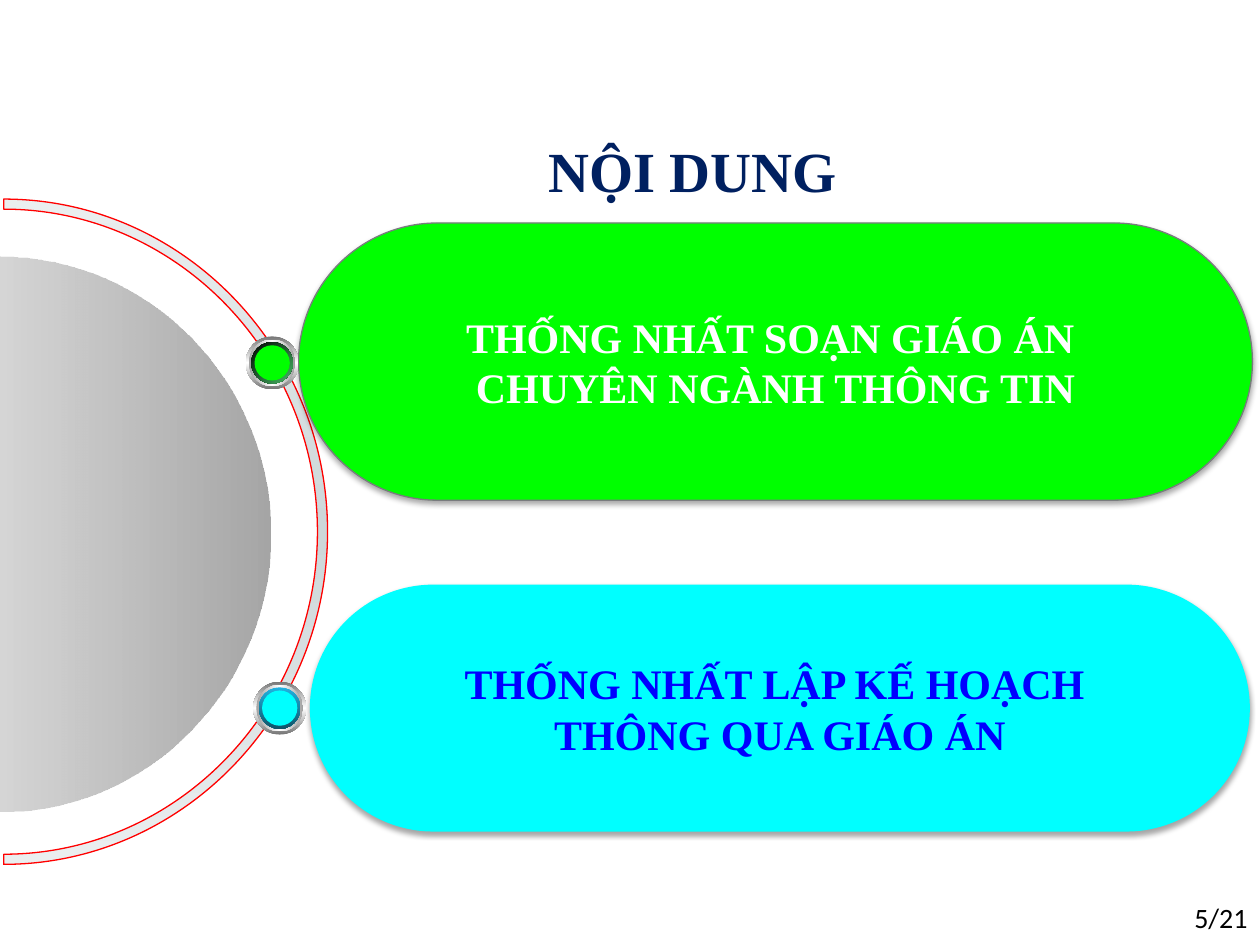
from lxml import etree
from pptx import Presentation
from pptx.dml.color import RGBColor
from pptx.enum.shapes import MSO_SHAPE
from pptx.enum.text import MSO_ANCHOR, PP_ALIGN
from pptx.oxml import parse_xml
from pptx.oxml.ns import nsdecls, qn
from pptx.util import Inches, Pt

OVAL, PILL = MSO_SHAPE.OVAL, MSO_SHAPE.ROUNDED_RECTANGLE
CENTER, RIGHT = PP_ALIGN.CENTER, PP_ALIGN.RIGHT
TOP, MIDDLE = MSO_ANCHOR.TOP, MSO_ANCHOR.MIDDLE
SERIF, SANS = "Times New Roman", "Calibri"
COLORS = {"navy": "002060", "red": "FF0000", "green": "00FF00", "cyan": "00FFFF",
          "blue": "0000FF", "white": "FFFFFF", "black": "000000", "edge": "797B7E"}
DISC_STOPS = [(0, "AFAFAF", 52), (100, "5F5F5F", 56)]
ITEMS = [
    {"box": (2.37, 1.77, 7.57, 2.2), "badge": (2.16, 2.88), "fill": "green",
     "line": "edge", "color": "white", "glow": ([(0, "000000"), (100, "48BE67")], 45),
     "lines": ["THỐNG NHẤT SOẠN GIÁO ÁN ", "CHUYÊN NGÀNH THÔNG TIN"]},
    {"box": (2.46, 4.64, 7.46, 1.96), "badge": (2.22, 5.62), "fill": "cyan",
     "line": None, "color": "blue", "glow": ([(0, "21B3E1"), (100, "0F5368")], 90),
     "lines": ["THỐNG NHẤT LẬP KẾ HOẠCH ", "THÔNG QUA GIÁO ÁN"]},
]


def rgb(name):
    """Return the named colour."""
    return RGBColor.from_string(COLORS[name])


def banded(edge, middle):
    """Return gradient stops that mirror around the middle."""
    return [(0, edge), (50, middle), (100, edge)]


def paint(sp, fill, line=None):
    """Fill with a colour name or a (stops, angle) pair, and set the outline."""
    sp.shadow.inherit = False
    if isinstance(fill, str):
        sp.fill.solid()
        sp.fill.fore_color.rgb = rgb(fill)
    else:
        stops, angle = fill
        sp.fill.background()
        grad = parse_xml(f'<a:gradFill {nsdecls("a")} rotWithShape="1"><a:gsLst/>'
                         f'<a:lin ang="{angle * 60000}" scaled="0"/></a:gradFill>')
        for pos, color, *alpha in stops:
            gs = etree.SubElement(grad[0], qn("a:gs"), pos=str(pos * 1000))
            clr = etree.SubElement(gs, qn("a:srgbClr"), val=color)
            for value in alpha:
                etree.SubElement(clr, qn("a:alpha"), val=str(value * 1000))
        props = sp._element.spPr
        props.replace(props.find(qn("a:noFill")), grad)
    if line:
        sp.line.color.rgb = rgb(line)
        sp.line.width = Pt(0.75)
    else:
        sp.line.fill.background()


def add_shadow(sp):
    """Give the shape a soft shadow below it."""
    effects = sp._element.spPr.find(qn("a:effectLst"))
    effects.append(parse_xml(
        f'<a:outerShdw {nsdecls("a")} blurRad="{Pt(3.1)}" dist="{Pt(1.8)}" dir="5400000" '
        f'rotWithShape="0"><a:srgbClr val="{COLORS["black"]}"><a:alpha val="35000"/>'
        '</a:srgbClr></a:outerShdw>'))


def write(sp, lines, color, align, anchor=MIDDLE, wrap=True, **font):
    """Write one paragraph per line in the shape."""
    tf = sp.text_frame
    tf.word_wrap = wrap
    tf.vertical_anchor = anchor
    for i, text in enumerate(lines):
        p = tf.paragraphs[0] if i == 0 else tf.add_paragraph()
        p.alignment = align
        r = p.add_run()
        r.text = text
        r.font.color.rgb = rgb(color)
        for key, value in font.items():
            setattr(r.font, key, value)


def add_text(s, box, *args, **font):
    """Add a text box in the given box."""
    write(s.shapes.add_textbox(*map(Inches, box)), *args, **font)


def half_oval(cx, cy, rx, ry):
    """Return the Bezier points of the right half of an oval, from top to bottom."""
    k = 0.55
    unit = [(0, -1), (k, -1), (1, -k), (1, 0), (1, k), (k, 1), (0, 1)]
    return [(Inches(cx + rx * x), Inches(cy + ry * y)) for x, y in unit]


def add_outline(s, halves, fill, line=None):
    """Add a closed freeform whose half ovals are two curves each."""
    points = [point for half in halves for point in half]
    builder = s.shapes.build_freeform(*points[0])
    builder.add_line_segments(points[1:], close=True)
    sp = builder.convert_to_shape()
    segments = list(sp._element.iter(qn("a:lnTo")))
    for first in range(0, len(segments), len(halves[0])):
        for start in (first, first + 3):
            head, *rest = segments[start:start + 3]
            curve = etree.Element(qn("a:cubicBezTo"))
            head.addprevious(curve)
            for segment in (head, *rest):
                curve.append(segment[0])
                segment.getparent().remove(segment)
    paint(sp, fill, line)


def add_dial(s, x, y, w, h):
    """Draw the half ring and half disc at the left edge."""
    cy, band = y + h / 2, 0.08
    outer = half_oval(x, cy, w, h / 2)
    inner = half_oval(x, cy, w - band, h / 2 - band)
    add_outline(s, [outer, inner[::-1]], (banded("EAEEEF", "CDD7D9"), 90), "red")
    add_outline(s, [half_oval(0, cy + 0.02, 2.15, 2.2)], (DISC_STOPS, 0))


def add_badge(s, cx, cy, fill, glow):
    """Stack concentric discs into a round button."""
    group = s.shapes.add_group_shape()
    layers = [(0.42, (banded("767676", "FFFFFF"), 90)),
              (0.37, (banded("A2A2A2", "FFFFFF"), 0)),
              (0.33, glow),
              (0.28, fill)]
    for d, look in layers:
        box = (cx - d / 2, cy - d / 2, d, d)
        paint(group.shapes.add_shape(OVAL, *map(Inches, box)), look)


def add_item(s, box, badge, fill, line, color, glow, lines):
    """Draw one content pill with its button."""
    sp = s.shapes.add_shape(PILL, *map(Inches, box))
    sp.adjustments[0] = 0.5
    paint(sp, fill, line)
    add_shadow(sp)
    write(sp, lines, color, CENTER, wrap=False, size=Pt(24), name=SERIF, bold=True)
    add_badge(s, *badge, fill, glow)


def main():
    """Build the contents slide."""
    prs = Presentation()
    prs.slide_width, prs.slide_height = Inches(10), Inches(7.5)
    s = prs.slides.add_slide(prs.slide_layouts[6])
    add_text(s, (3.91, 1.03, 3.17, 0.64), ["NỘI DUNG"], "navy", CENTER,
             size=Pt(32.4), name=SERIF, bold=True)
    add_dial(s, 0.03, 1.58, 2.57, 5.28)
    for item in ITEMS:
        add_item(s, **item)
    add_text(s, (9.06, 7.1, 0.94, 0.4), ["5/21"], "black", RIGHT, TOP,
             size=Pt(16), name=SANS)
    prs.save("out.pptx")


if __name__ == "__main__":
    main()
